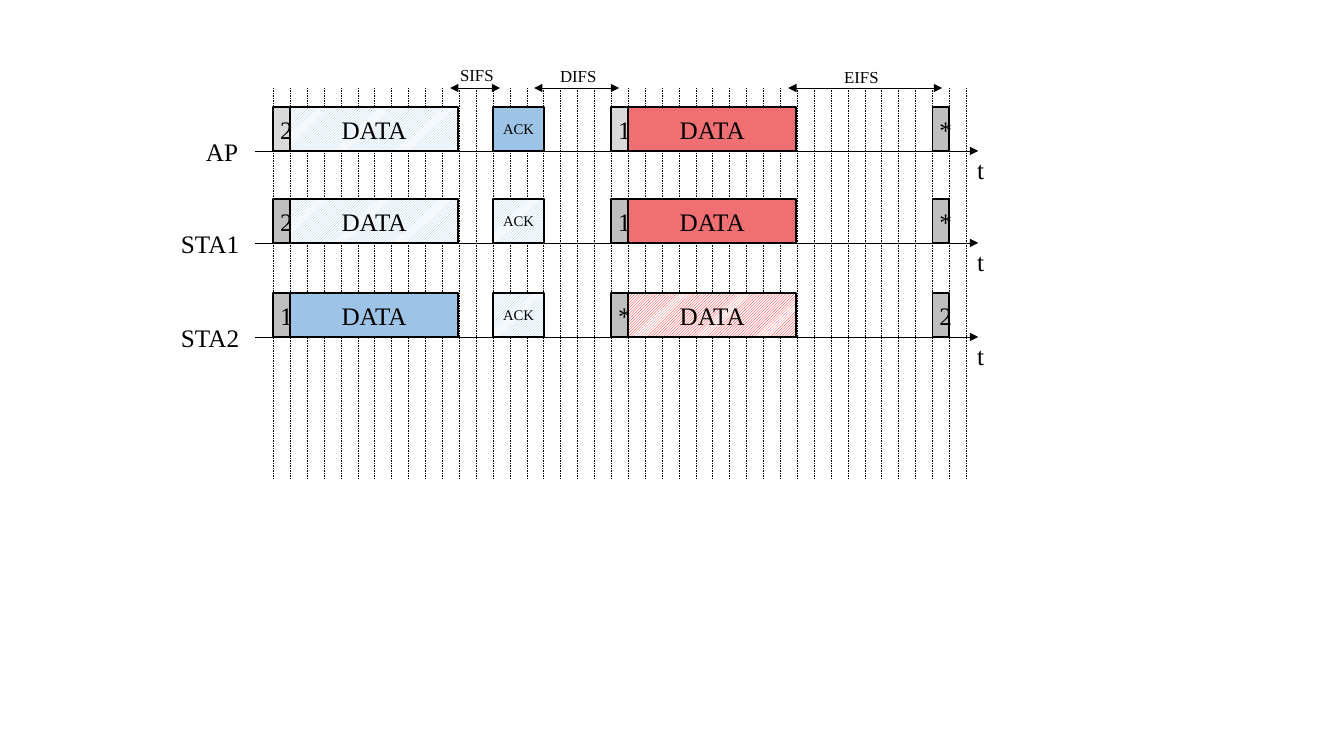
from lxml import etree
from pptx import Presentation
from pptx.dml.color import RGBColor
from pptx.enum.dml import MSO_LINE, MSO_PATTERN
from pptx.enum.shapes import MSO_CONNECTOR, MSO_SHAPE
from pptx.enum.text import MSO_ANCHOR, MSO_AUTO_SIZE, PP_ALIGN
from pptx.oxml.ns import qn
from pptx.util import Inches, Pt

STRAIGHT = MSO_CONNECTOR.STRAIGHT
RECTANGLE = MSO_SHAPE.RECTANGLE
DASH = MSO_LINE.DASH
HATCH = MSO_PATTERN.LIGHT_UPWARD_DIAGONAL
MIDDLE = MSO_ANCHOR.MIDDLE
CENTER = PP_ALIGN.CENTER
GROW = MSO_AUTO_SIZE.SHAPE_TO_FIT_TEXT

BLACK = RGBColor(0x00, 0x00, 0x00)
WHITE = RGBColor(0xFF, 0xFF, 0xFF)
LIGHT = RGBColor(0xD9, 0xD9, 0xD9)
GRAY = RGBColor(0xBF, 0xBF, 0xBF)
BLUE = RGBColor(0x9D, 0xC3, 0xE6)
CORAL = RGBColor(0xEF, 0x6F, 0x72)
RED = RGBColor(0xFF, 0x00, 0x00)
FONT = "Times New Roman"

# Frame columns: first time slot, width, text size
COLUMNS = [(0, 17, 18), (1, 168, 18), (13, 51, 10.5),
           (20, 17, 18), (21, 168, 18), (39, 17, 18)]

# Stations: name, name left, axis y, then (text, colour, hatched) per column
STATIONS = [
    ("AP", 196, 151, [("2", LIGHT, False), ("DATA", BLUE, True), ("ACK", BLUE, False),
                      ("1", LIGHT, False), ("DATA", CORAL, False), ("*", GRAY, False)]),
    ("STA1", 171, 243, [("2", GRAY, False), ("DATA", BLUE, True), ("ACK", BLUE, True),
                        ("1", GRAY, False), ("DATA", CORAL, False), ("*", GRAY, False)]),
    ("STA2", 171, 337, [("1", GRAY, False), ("DATA", BLUE, False), ("ACK", BLUE, True),
                        ("*", GRAY, False), ("DATA", RED, True), ("2", GRAY, False)]),
]

# Intervals: name, label left, label top, arrow start, arrow end
INTERVALS = [("SIFS", 450, 60, 450, 500), ("DIFS", 550, 61, 534, 619),
             ("EIFS", 834, 62, 788, 942)]

SLOT_COUNT, GRID_LEFT, GRID_RIGHT, GRID_TOP, GRID_BOTTOM = 41, 273, 966, 88, 480
AXIS_LEFT, AXIS_RIGHT = 255, 978
FRAME_HEIGHT = 44


def emu(pixels):
    return round(pixels * 914400 / 100.8)


def slot_x(slot):
    return round(GRID_LEFT + (GRID_RIGHT - GRID_LEFT) * slot / SLOT_COUNT)


def add_line(x1, y1, x2, y2, width, heads=(), dash=None):
    line = page.shapes.add_connector(STRAIGHT, emu(x1), emu(y1), emu(x2), emu(y2))
    line.line.color.rgb = BLACK
    line.line.width = Pt(width)
    if dash is not None:
        line.line.dash_style = dash
    for end in heads:
        etree.SubElement(line.line._get_or_add_ln(), qn("a:" + end), type="triangle")
    etree.SubElement(line._element.spPr, qn("a:effectLst"))


def write(shape, text, size):
    shape.text_frame.text = text
    para = shape.text_frame.paragraphs[0]
    font = para.runs[0].font
    font.name, font.size = FONT, Pt(size)
    font.color.rgb = BLACK
    return para


def add_label(text, x, y, width, height, size):
    box = page.shapes.add_textbox(emu(x), emu(y), emu(width), emu(height))
    box.text_frame.word_wrap = True
    box.text_frame.auto_size = GROW
    write(box, text, size)


def add_frame(text, x, y, width, size, color, hatched):
    box = page.shapes.add_shape(RECTANGLE, emu(x), emu(y), emu(width), emu(FRAME_HEIGHT))
    box.shadow.inherit = False
    if hatched:
        box.fill.patterned()
        box.fill.pattern = HATCH
        box.fill.fore_color.rgb = color
        box.fill.back_color.rgb = WHITE
    else:
        box.fill.solid()
        box.fill.fore_color.rgb = color
    box.line.color.rgb = BLACK
    box.line.width = Pt(1)
    box.text_frame.vertical_anchor = MIDDLE
    write(box, text, size).alignment = CENTER


deck = Presentation()
deck.slide_width, deck.slide_height = Inches(13.33), Inches(7.5)
page = deck.slides.add_slide(deck.slide_layouts[6])

# Time axes and slot grid
for name, name_x, axis_y, frames in STATIONS:
    add_line(AXIS_LEFT, axis_y, AXIS_RIGHT, axis_y, 0.5, ["tailEnd"])
for slot in range(SLOT_COUNT + 1):
    add_line(slot_x(slot), GRID_TOP, slot_x(slot), GRID_BOTTOM, 0.25, dash=DASH)

# Stations with their frames
for name, name_x, axis_y, frames in STATIONS:
    add_label(name, name_x, axis_y - 20, 99, 40, 18)
    add_label("t", 967, axis_y - 2, 99, 40, 18)
    for (slot, width, size), (text, color, hatched) in zip(COLUMNS, frames):
        add_frame(text, slot_x(slot), axis_y - FRAME_HEIGHT, width, size, color, hatched)

# Interframe spaces
for name, label_x, label_y, start, end in INTERVALS:
    add_label(name, label_x, label_y, 76, 30, 12)
    add_line(start, GRID_TOP, end, GRID_TOP, 0.5, ["headEnd", "tailEnd"])

deck.save("out.pptx")
